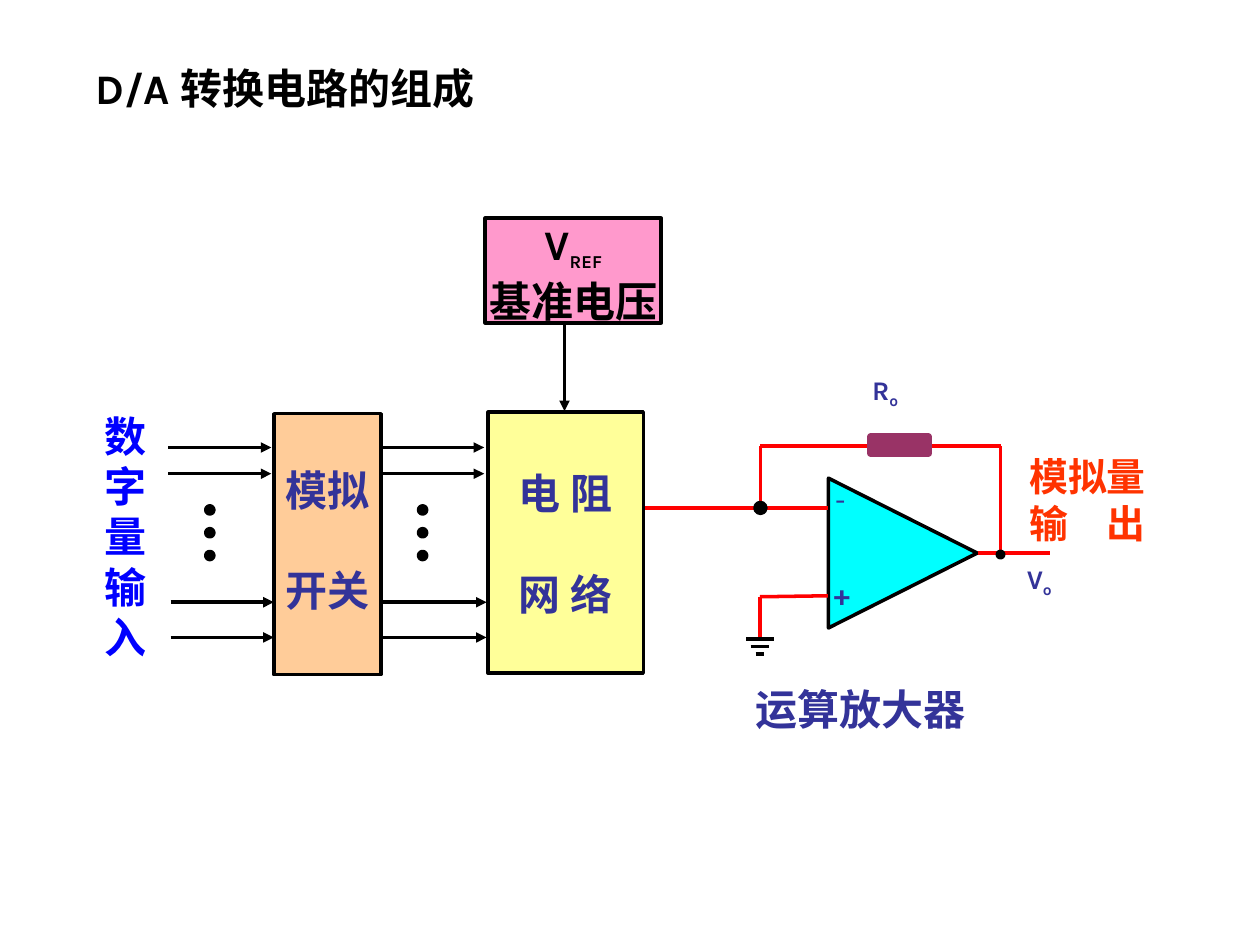
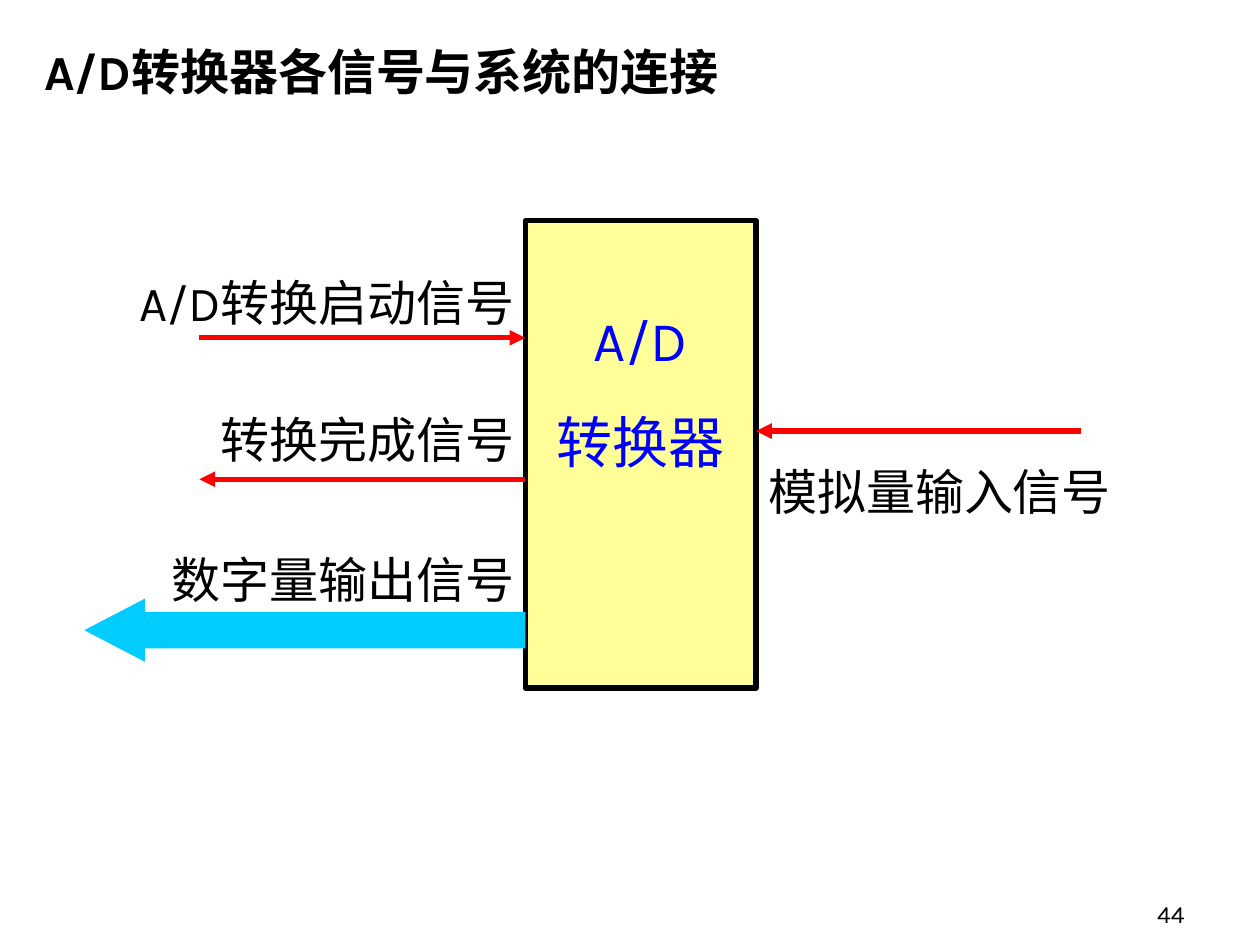
from lxml.etree import SubElement
from pptx import Presentation
from pptx.dml.color import RGBColor
from pptx.enum.shapes import MSO_CONNECTOR, MSO_SHAPE as SHAPE
from pptx.enum.text import MSO_ANCHOR as ANCHOR, MSO_AUTO_SIZE, PP_ALIGN as ALIGN
from pptx.oxml.ns import qn
from pptx.util import Cm, Pt

BLACK = RGBColor(0x00, 0x00, 0x00)
RED = RGBColor(0xFF, 0x00, 0x00)
BLUE = RGBColor(0x00, 0x00, 0xFF)
INDIGO = RGBColor(0x33, 0x33, 0x99)
ORANGE = RGBColor(0xFF, 0x33, 0x00)
PINK = RGBColor(0xFF, 0x99, 0xCC)
YELLOW = RGBColor(0xFF, 0xFF, 0x99)
PEACH = RGBColor(0xFF, 0xCC, 0x99)
CYAN = RGBColor(0x00, 0xFF, 0xFF)
SKY = RGBColor(0x00, 0xCC, 0xFF)
PLUM = RGBColor(0x99, 0x33, 0x66)

LATIN, CJK = "Karla", "Noto Sans CJK SC"


def write(tf, *lines, size=24, color=BLACK, bold=True, align=ALIGN.LEFT, font=LATIN,
          gap=0, inset=0, anchor=ANCHOR.TOP, sub_size=None):
    """Fill a text frame, one paragraph per line; an underscore starts a subscript."""
    tf.word_wrap = True
    tf.auto_size = MSO_AUTO_SIZE.NONE
    tf.vertical_anchor = anchor
    tf.margin_left = tf.margin_right = tf.margin_bottom = 0
    tf.margin_top = Cm(inset) + Pt(size * 0.08)
    for i, line in enumerate(lines):
        p = tf.paragraphs[0] if i == 0 else tf.add_paragraph()
        p.alignment = align
        p.line_spacing = Pt(size * 1.2)
        p.space_before = Pt(gap if i else 0)
        for j, part in enumerate(line.split("_")):
            r = p.add_run()
            r.text = part
            r.font.name = font
            r.font.size = Pt(sub_size if j and sub_size else size)
            r.font.bold = bold
            r.font.color.rgb = color
            rPr = r.font._element
            SubElement(rPr, qn("a:ea")).set("typeface", CJK)
            if j:
                rPr.set("baseline", "-25000")


def add_label(s, x, y, w, h, *lines, **fmt):
    """Add a text box."""
    sp = s.shapes.add_textbox(Cm(x), Cm(y), Cm(w), Cm(h))
    write(sp.text_frame, *lines, **fmt)


def add_block(s, kind, x, y, w, h, fill, line=BLACK, weight=2):
    """Add a filled preset shape; no line when line is None."""
    sp = s.shapes.add_shape(kind, Cm(x), Cm(y), Cm(w), Cm(h))
    sp.shadow.inherit = False
    sp.fill.solid()
    sp.fill.fore_color.rgb = fill
    if line is None:
        sp.line.fill.background()
    else:
        sp.line.color.rgb = line
        sp.line.width = Pt(weight)
    return sp


def add_dot(s, cx, cy, d, weight):
    """Add a black dot around a centre."""
    add_block(s, SHAPE.OVAL, cx - d / 2, cy - d / 2, d, d, BLACK, weight=weight)


def add_wire(s, x1, y1, x2, y2, color=RED, weight=2, arrow=False):
    """Add a straight line, with an arrowhead at its end on request."""
    c = s.shapes.add_connector(MSO_CONNECTOR.STRAIGHT, Cm(x1), Cm(y1), Cm(x2), Cm(y2))
    c.line.color.rgb = color
    c.line.width = Pt(weight)
    if arrow:
        SubElement(c.line._get_or_add_ln(), qn("a:tailEnd")).set("type", "triangle")
    SubElement(c._element.spPr, qn("a:effectLst"))


def add_titled_slide(prs, title, x, y, size):
    """Add a title-only slide with its title at the given place."""
    s = prs.slides.add_slide(prs.slide_layouts[5])
    sp = s.shapes.title
    sp.left, sp.top, sp.width, sp.height = Cm(x), Cm(y), Cm(17), Cm(1.4)
    write(sp.text_frame, title, size=size)
    return s


def draw_bus(s, x, y):
    """Draw four parallel signal arrows with an ellipsis between them."""
    for dx, dy in ((0, 0), (0, 0.53), (0.05, 3.12), (0.05, 3.83)):
        add_wire(s, x + dx, y + dy, x + dx + 2.08, y + dy, BLACK, arrow=True)
    for i in range(3):
        add_dot(s, x + 0.84, y + 1.26 + i * 0.46, 0.13, 3)


def draw_stage(s, x, y, w, h, fill, *lines, inset):
    """Draw a processing stage with two widely spaced lines."""
    sp = add_block(s, SHAPE.RECTANGLE, x, y, w, h, fill)
    write(sp.text_frame, *lines, color=INDIGO, align=ALIGN.CENTER, gap=28.8, inset=inset)


def draw_reference(s, x, y, w, h):
    """Draw the reference voltage source and its arrow downwards."""
    sp = add_block(s, SHAPE.RECTANGLE, x, y, w, h, PINK)
    write(sp.text_frame, "V_REF", "基准电压", align=ALIGN.CENTER, gap=2, sub_size=18)
    add_wire(s, x + 1.6, y + h, x + 1.6, y + h + 1.78, BLACK, arrow=True)


def draw_amplifier(s, x, y):
    """Draw the operational amplifier with feedback, ground and output."""
    tri = add_block(s, SHAPE.ISOSCELES_TRIANGLE, x + 3.69, y + 2.08, 3.02, 3, CYAN)
    tri.rotation = 90
    add_label(s, x + 3.81, y + 3.99, 0.64, 0.8, "+", size=17.1, color=INDIGO)
    add_label(s, x + 3.84, y + 2.07, 0.64, 0.8, "-", size=17.1, color=INDIGO,
              bold=False, font=CJK)
    node, out, ground = 2.33, 7.17, 2.32
    wires = ((0, 2.67, 3.69, 2.67), (6.71, 3.58, 8.16, 3.58),
             (ground, 4.46, 3.69, 4.44), (ground, 4.46, ground, 5.36),
             (node, 1.42, node, 2.67), (node, 1.42, 4.55, 1.42),
             (5.72, 1.42, out, 1.42), (out, 1.42, out, 3.58))
    for x1, y1, x2, y2 in wires:
        add_wire(s, x + x1, y + y1, x + x2, y + y2)
    for i, half in enumerate((0.28, 0.19, 0.09)):
        bar = y + 5.31 + i * 0.15
        add_wire(s, x + ground - half, bar, x + ground + half, bar, BLACK)
    add_block(s, SHAPE.RECTANGLE, x + 4.55, y + 1.24, 1.17, 0.33, PLUM, PLUM, 4)
    add_dot(s, x + node, y + 2.67, 0.22, 2)
    add_dot(s, x + out, y + 3.61, 0.13, 2)
    add_label(s, x + 4.58, y, 1.2, 0.8, "R_o", size=15.4, color=INDIGO)
    add_label(s, x + 7.7, y + 3.81, 1.75, 0.8, "V_o", size=15.4, color=INDIGO)
    add_label(s, x + 2.24, y + 6.15, 4.7, 1.3, "运算放大器", color=INDIGO)
    add_label(s, x + 7.75, y + 1.5, 2.97, 1.9, "模拟量", "输　出", size=22.2, color=ORANGE)


def build_da_slide(prs):
    """Build the D/A conversion circuit slide."""
    s = add_titled_slide(prs, "D/A 转换电路的组成", 1.92, 1.19, 24)
    draw_reference(s, 9.78, 4.4, 3.55, 2.11)
    add_label(s, 2.11, 8.2, 1.02, 5.56, *"数字量输入", color=BLUE)
    draw_bus(s, 3.39, 9.02)
    draw_stage(s, 5.52, 8.34, 2.16, 5.26, PEACH, "模拟", "开关", inset=0.95)
    draw_bus(s, 7.68, 9.02)
    draw_stage(s, 9.84, 8.31, 3.13, 5.26, YELLOW, "电 阻", "网 络", inset=1.05)
    draw_amplifier(s, 13, 7.57)


def draw_converter(s, x, y, w, h):
    """Draw the A/D converter with its control, data and analog signals."""
    sp = add_block(s, SHAPE.RECTANGLE, x, y, w, h, YELLOW, weight=3)
    write(sp.text_frame, "A/D", "转换器", size=32, color=BLUE, bold=False,
          align=ALIGN.CENTER, gap=20, inset=1.62)
    plain = dict(size=28, bold=False)
    signals = (("A/D转换启动信号", 0.96), ("转换完成信号", 3.73), ("数字量输出信号", 6.55))
    for name, dy in signals:
        add_label(s, x - 9.7, y + dy, 9.48, 1.2, name, align=ALIGN.RIGHT, **plain)
    add_label(s, x + w + 0.25, y + 4.77, 7.5, 1.2, "模拟量输入信号", **plain)
    far = x - 6.57
    right = x + w
    arrows = ((far, x, 2.36), (x, far, 5.21), (right + 6.55, right, 4.24))
    for x1, x2, dy in arrows:
        add_wire(s, x1, y + dy, x2, y + dy, weight=3, arrow=True)
    data = add_block(s, SHAPE.LEFT_ARROW, x - 8.89, y + 7.62, 8.89, 1.27, SKY, None)
    data.adjustments[0] = 0.58
    data.adjustments[1] = 0.96


def build_ad_slide(prs):
    """Build the A/D converter connection slide."""
    s = add_titled_slide(prs, "A/D转换器各信号与系统的连接", 0.89, 0.76, 28)
    draw_converter(s, 10.59, 4.45, 4.65, 9.42)
    add_label(s, 18.85, 17.58, 5.03, 1.14, "44", size=14, bold=False,
              align=ALIGN.RIGHT, anchor=ANCHOR.BOTTOM)


def main():
    """Build and save the presentation."""
    prs = Presentation()
    prs.slide_width, prs.slide_height = Cm(25.4), Cm(19.05)
    build_da_slide(prs)
    build_ad_slide(prs)
    prs.save("out.pptx")


if __name__ == "__main__":
    main()
